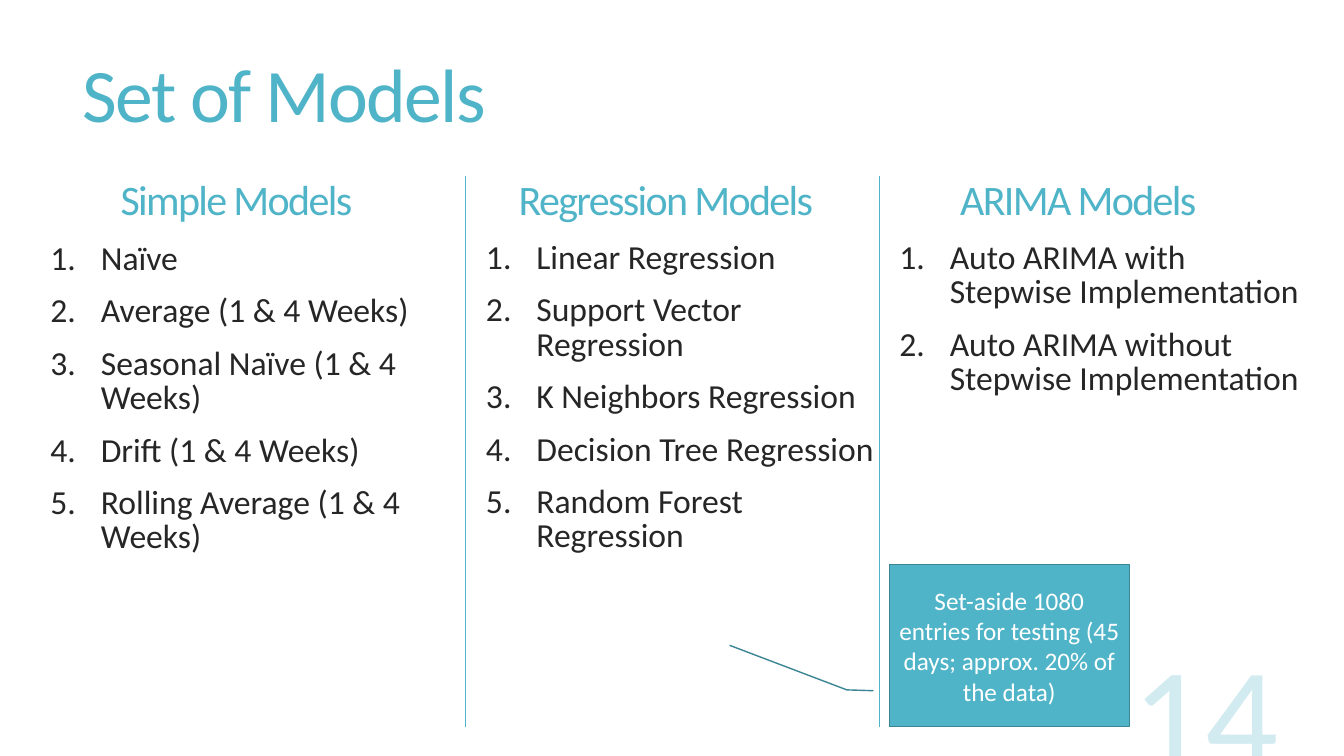
from pptx import Presentation
from pptx.dml.color import RGBColor
from pptx.enum.shapes import MSO_CONNECTOR, MSO_SHAPE
from pptx.enum.text import MSO_ANCHOR, MSO_AUTO_SIZE, PP_ALIGN
from pptx.oxml.ns import qn
from pptx.util import Inches, Pt
from lxml import etree

TITLE = "Set of Models"
SLIDE_NUMBER = "14"
SET_ASIDE = "Set-aside 1080 entries for testing (45 days; approx. 20% of the data)"

# heading, heading left, list left, list top, models
COLUMNS = [
    ("Simple Models", 0.26, 0.4, 2.36, [
        "Naïve",
        "Average (1 & 4 Weeks)",
        "Seasonal Naïve (1 & 4 Weeks)",
        "Drift (1 & 4 Weeks)",
        "Rolling Average (1 & 4 Weeks)",
    ]),
    ("Regression Models", 4.52, 4.72, 2.35, [
        "Linear Regression",
        "Support Vector Regression",
        "K Neighbors Regression",
        "Decision Tree Regression",
        "Random Forest Regression",
    ]),
    ("ARIMA Models", 8.61, 8.82, 2.35, [
        "Auto ARIMA with Stepwise Implementation",
        "Auto ARIMA without Stepwise Implementation",
    ]),
]
CALLOUT_POINTS = [0.778, -0.066, 0.773, -0.177, 0.498, -0.666]

FONT = "Calibri"
TEAL = RGBColor(0x50, 0xB4, 0xC8)
DARK_TEAL = RGBColor(0x3B, 0x85, 0x94)
INK = RGBColor(0x26, 0x26, 0x26)
WHITE = RGBColor(0xFF, 0xFF, 0xFF)

COMPARISON_LAYOUT = 4
LIST_PLACEHOLDERS = [1, 2, 4]
SPARE_PLACEHOLDER = 3
COLUMN_TOP, COLUMN_BOTTOM = 1.75, 7.21
DIVIDER_GAP = 0.1
LEFT, CENTER, RIGHT = PP_ALIGN.LEFT, PP_ALIGN.CENTER, PP_ALIGN.RIGHT
TOP, MIDDLE, BOTTOM = MSO_ANCHOR.TOP, MSO_ANCHOR.MIDDLE, MSO_ANCHOR.BOTTOM


def place(shape, left, top, width, height):
    shape.left, shape.top = Inches(left), Inches(top)
    shape.width, shape.height = Inches(width), Inches(height)


def write(shape, lines, size, color, align=LEFT, anchor=TOP, line_spacing=None,
          tracking=None):
    """Fill the shape with one paragraph per line and return the paragraphs."""
    frame = shape.text_frame
    frame.word_wrap = True
    frame.auto_size = MSO_AUTO_SIZE.NONE
    frame.vertical_anchor = anchor
    for position, line in enumerate(lines):
        paragraph = frame.add_paragraph() if position else frame.paragraphs[0]
        paragraph.alignment = align
        paragraph.space_before = Pt(0)
        if line_spacing:
            paragraph.line_spacing = line_spacing
        run = paragraph.add_run()
        run.text = line
        run.font.name = FONT
        run.font.size = Pt(size)
        run.font.bold = False
        run.font.color.rgb = color
        if tracking:
            run.font._element.set("spc", str(int(tracking * 100)))
    return frame.paragraphs


def number(paragraph):
    """Turn the paragraph into a numbered item with a hanging indent."""
    paragraph.space_before = Pt(13)
    properties = paragraph._p.get_or_add_pPr()
    properties.set("marL", str(Inches(0.5)))
    properties.set("indent", str(-Inches(0.5)))
    etree.SubElement(properties, qn("a:buFont"), typeface="+mj-lt")
    etree.SubElement(properties, qn("a:buAutoNum"), type="arabicPeriod")


def add_text_box(slide, left, top, width, height):
    return slide.shapes.add_textbox(
        Inches(left), Inches(top), Inches(width), Inches(height))


def add_divider(slide, x):
    divider = slide.shapes.add_connector(
        MSO_CONNECTOR.STRAIGHT,
        Inches(x), Inches(COLUMN_TOP), Inches(x), Inches(COLUMN_BOTTOM))
    divider.line.color.rgb = TEAL
    divider.line.width = Pt(0.75)
    etree.SubElement(divider._element.spPr, qn("a:effectLst"))


def add_page_number(slide):
    box = add_text_box(slide, 9.58, 6.43, 3.2, 1.53)
    paragraph = write(box, [SLIDE_NUMBER], 103, TEAL, RIGHT, BOTTOM)[0]
    color = paragraph.runs[0].font._element.find(".//" + qn("a:srgbClr"))
    etree.SubElement(color, qn("a:alpha"), val="25000")


def add_callout(slide):
    callout = slide.shapes.add_shape(
        MSO_SHAPE.LINE_CALLOUT_2,
        Inches(8.82), Inches(5.6), Inches(2.38), Inches(1.61))
    for position, value in enumerate(CALLOUT_POINTS):
        callout.adjustments[position] = value
    callout.shadow.inherit = False
    callout.fill.solid()
    callout.fill.fore_color.rgb = TEAL
    callout.line.color.rgb = DARK_TEAL
    callout.line.width = Pt(1)
    write(callout, [SET_ASIDE], 18, WHITE, CENTER, MIDDLE)


def main():
    deck = Presentation()
    deck.slide_width, deck.slide_height = Inches(13.33), Inches(7.5)
    slide = deck.slides.add_slide(deck.slide_layouts[COMPARISON_LAYOUT])
    bodies = {body.placeholder_format.idx: body for body in slide.placeholders}
    spare = bodies[SPARE_PLACEHOLDER].element
    spare.getparent().remove(spare)

    add_page_number(slide)
    title = slide.shapes.title
    place(title, 0.72, 0.55, 11.78, 1.81)
    write(title, [TITLE], 54, TEAL, line_spacing=0.85, tracking=-1.2)

    for idx, column in zip(LIST_PLACEHOLDERS, COLUMNS):
        heading, heading_left, list_left, list_top, models = column
        if column is not COLUMNS[0]:
            add_divider(slide, list_left - DIVIDER_GAP)
        heading_box = add_text_box(slide, heading_left, COLUMN_TOP, 4.17, 0.93)
        write(heading_box, [heading], 30, TEAL, CENTER,
              line_spacing=0.85, tracking=-1.2)
        model_list = bodies[idx]
        place(model_list, list_left, list_top, 4.22, 4.44)
        for item in write(model_list, models, 24, INK, line_spacing=0.85):
            number(item)

    add_callout(slide)
    deck.save("out.pptx")


if __name__ == "__main__":
    main()
